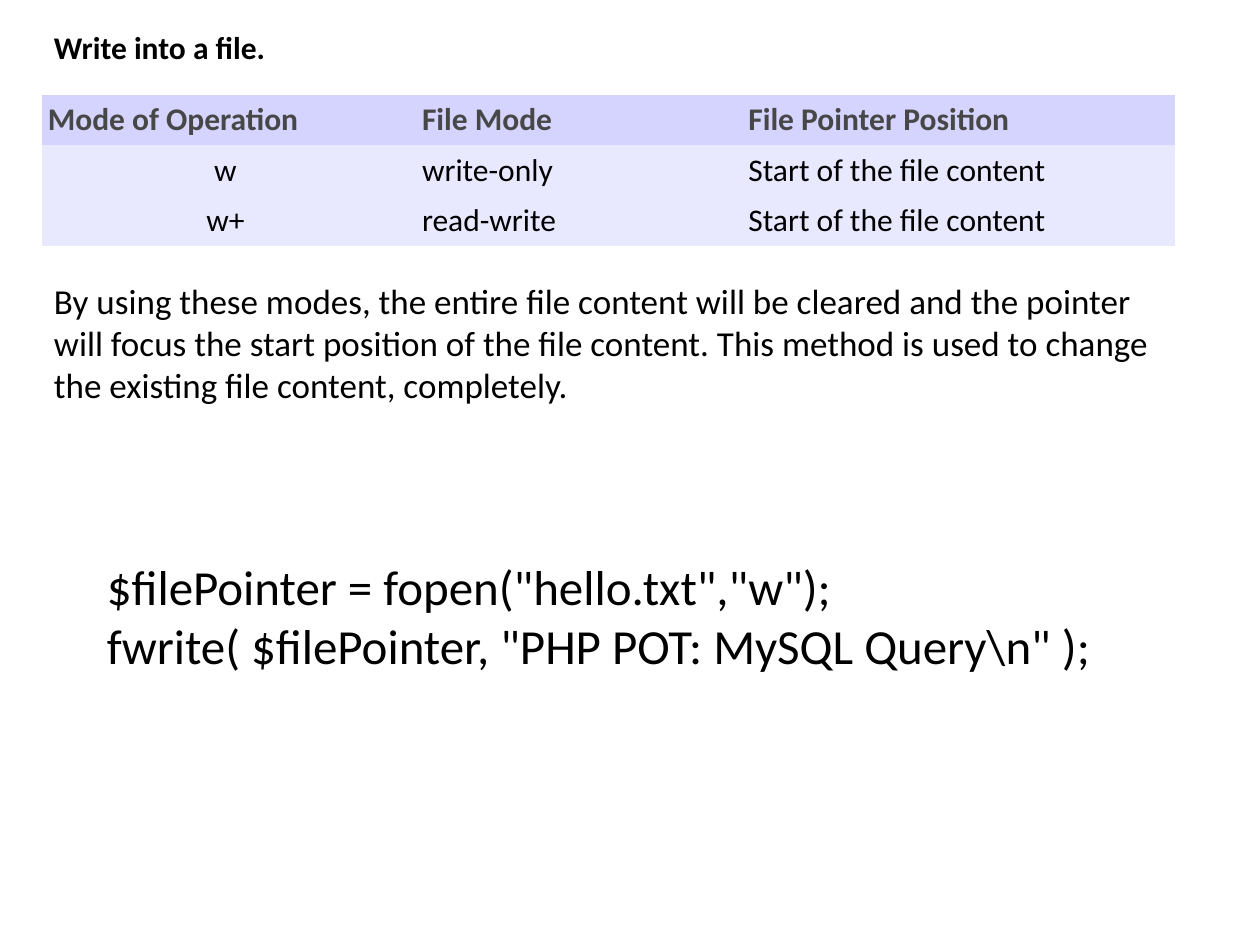
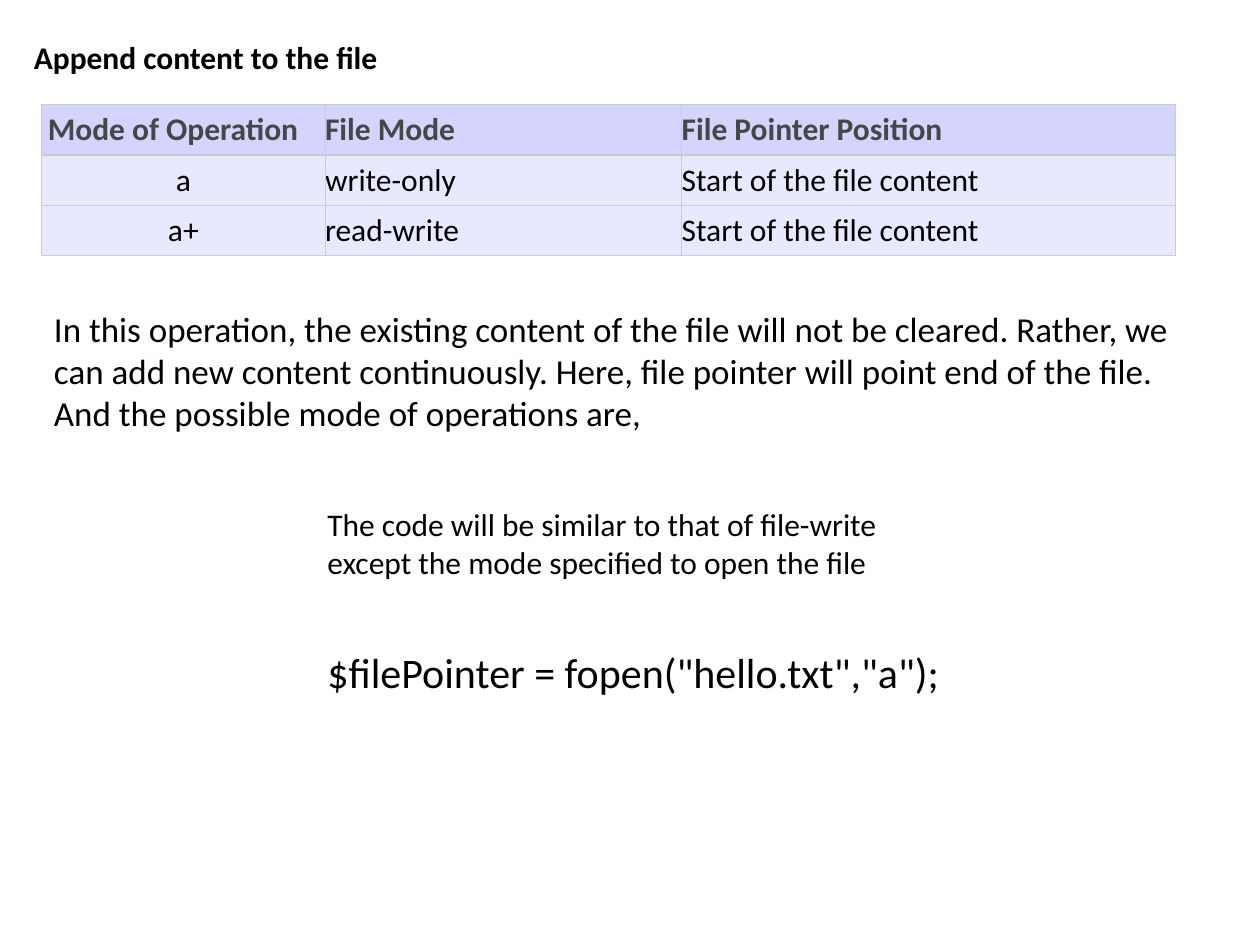
from lxml import etree
from pptx import Presentation
from pptx.dml.color import RGBColor
from pptx.enum.text import MSO_ANCHOR, MSO_AUTO_SIZE, PP_ALIGN
from pptx.oxml.ns import qn
from pptx.util import Inches, Pt

LEFT, CENTER = PP_ALIGN.LEFT, PP_ALIGN.CENTER
MIDDLE = MSO_ANCHOR.MIDDLE
GROW = MSO_AUTO_SIZE.SHAPE_TO_FIT_TEXT

FONT = "Calibri"
COLORS = {
    "text": "000000",
    "header_text": "474747",
    "header_fill": "D4D4FF",
    "body_fill": "E8E8FF",
    "grid": "CCCCCC",
}
PLAIN_TABLE_STYLE = "{2D5ABB26-0587-4C30-8999-92F81FD0307C}"
HEADINGS = ("Mode of Operation", "File Mode", "File Pointer Position")
TABLE_LEFT, ROW_HEIGHT = 0.33, 0.4
MODE_INSET = 0.05


def write(frame, text, size=18, bold=False, color="text", align=LEFT):
    """Fill a text frame, one paragraph for each line of text."""
    for index, line in enumerate(text.split("\n")):
        paragraph = frame.add_paragraph() if index else frame.paragraphs[0]
        paragraph.alignment = align
        run = paragraph.add_run()
        run.text = line
        run.font.name = FONT
        run.font.size = Pt(size)
        run.font.bold = bold
        run.font.color.rgb = RGBColor.from_string(COLORS[color])


def add_text(slide, box, text, wrap=True, **text_format):
    frame = slide.shapes.add_textbox(*map(Inches, box)).text_frame
    frame.word_wrap = wrap
    frame.auto_size = GROW
    write(frame, text, **text_format)


def add_title(slide, box, text):
    add_text(slide, box, text, wrap=False, bold=True)


def add_explanation(slide, top, text):
    add_text(slide, (0.33, top, 9.08, 1.11), text, size=20)


def draw_borders(cell, color, width=0.75):
    properties = cell._tc.get_or_add_tcPr()
    for side in ("a:lnL", "a:lnR", "a:lnT", "a:lnB"):
        line = etree.SubElement(properties, qn(side), w=str(Pt(width)))
        fill = etree.SubElement(line, qn("a:solidFill"))
        etree.SubElement(fill, qn("a:srgbClr"), val=COLORS[color])


def set_insets(cell, side, vertical):
    cell.margin_left = cell.margin_right = Inches(side)
    cell.margin_top = cell.margin_bottom = Inches(vertical)


def add_mode_table(slide, top, widths, modes, insets, grid=False):
    """Table of two file modes; insets (side, vertical) apply after column one."""
    rows = [
        HEADINGS,
        (modes[0], "write-only", "Start of the file content"),
        (modes[1], "read-write", "Start of the file content"),
    ]
    table = slide.shapes.add_table(
        len(rows), len(widths), Inches(TABLE_LEFT), Inches(top),
        Inches(sum(widths)), Inches(ROW_HEIGHT * len(rows))).table
    table._tbl.tblPr.find(qn("a:tableStyleId")).text = PLAIN_TABLE_STYLE
    table.horz_banding = False
    for column, width in zip(table.columns, widths):
        column.width = Inches(width)
    for r, row in enumerate(rows):
        is_header = r == 0
        for c, text in enumerate(row):
            cell = table.cell(r, c)
            cell.vertical_anchor = MIDDLE
            set_insets(cell, *(insets if c else (MODE_INSET, MODE_INSET)))
            if grid:
                draw_borders(cell, "grid")
            cell.fill.solid()
            cell.fill.fore_color.rgb = RGBColor.from_string(
                COLORS["header_fill" if is_header else "body_fill"])
            write(cell.text_frame, text, bold=is_header,
                  color="header_text" if is_header else "text",
                  align=LEFT if is_header or c else CENTER)


def build_write_slide(slide):
    add_title(slide, (0.33, 0.17, 1.89, 0.4), "Write into a file.")
    add_mode_table(slide, 0.75, (2.92, 2.59, 3.49), ("w", "w+"), (0.1, 0.05))
    add_text(slide, (0.75, 4.37, 8.5, 1.04),
             '$filePointer = fopen("hello.txt","w");\n'
             'fwrite( $filePointer, "PHP POT: MySQL Query\\n" );', size=28)
    add_explanation(
        slide, 2.17,
        "By using these modes, the entire file content will be cleared and the "
        "pointer will focus the start position of the file content. This method "
        "is used to change the existing file content, completely.")


def build_append_slide(slide):
    add_title(slide, (0.17, 0.25, 2.95, 0.4), "Append content to the file")
    add_explanation(
        slide, 2.39,
        "In this operation, the existing content of the file will not be cleared. "
        "Rather, we can add new content continuously. Here, file pointer will "
        "point end of the file. And the possible mode of operations are,")
    add_mode_table(slide, 0.83, (2.25, 2.83, 3.92), ("a", "a+"), (0, 0), grid=True)
    add_text(slide, (2.5, 5.08, 5.1, 0.5),
             '$filePointer = fopen("hello.txt","a");', wrap=False, size=24)
    add_text(slide, (2.5, 3.96, 5, 0.71),
             "The code will be similar to that of file-write except the mode "
             "specified to open the file")


def main():
    presentation = Presentation()
    presentation.slide_width, presentation.slide_height = Inches(10), Inches(7.5)
    blank = presentation.slide_layouts[6]
    for build in (build_write_slide, build_append_slide):
        build(presentation.slides.add_slide(blank))
    presentation.save("out.pptx")


if __name__ == "__main__":
    main()
